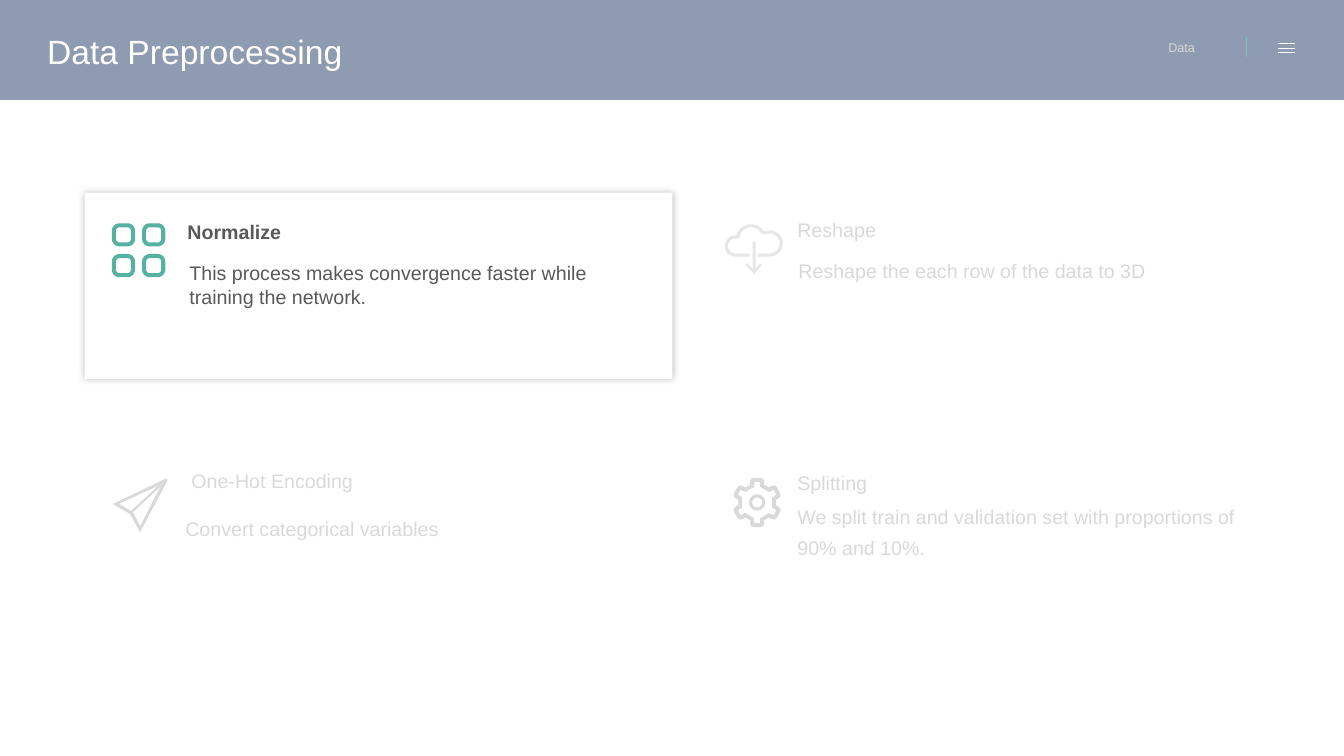
from dataclasses import dataclass
from math import cos, radians, sin

from lxml import etree
from pptx import Presentation
from pptx.dml.color import RGBColor
from pptx.enum.shapes import MSO_CONNECTOR, MSO_SHAPE
from pptx.enum.text import MSO_AUTO_SIZE, PP_ALIGN
from pptx.oxml.ns import qn
from pptx.util import Inches, Pt

RECT = MSO_SHAPE.RECTANGLE
STRAIGHT = MSO_CONNECTOR.STRAIGHT
GROW = MSO_AUTO_SIZE.SHAPE_TO_FIT_TEXT
LEFT = PP_ALIGN.LEFT
CENTER = PP_ALIGN.CENTER


@dataclass(frozen=True)
class Theme:
    font: str = "Arial"
    white: str = "FFFFFF"
    navy: str = "203864"
    teal: str = "55B2A0"
    mint: str = "78C2B4"
    dark: str = "595959"
    pale: str = "D9D9D9"
    cloud: str = "E7E6E6"
    shade: str = "BFBFBF"
    title: float = 24
    body: float = 14
    small: float = 9
    thin: float = 0.75


def color(code):
    return RGBColor.from_string(code)


def write(frame, text, font, size, ink, bold=False, align=LEFT, space=None):
    para = frame.paragraphs[0]
    para.alignment = align
    if space:
        para.line_spacing = space
    run = para.add_run()
    run.text = text
    run.font.name = font
    run.font.size = Pt(size)
    run.font.bold = bold
    run.font.color.rgb = color(ink)


def arc(x, y, r, start, end, step=10):
    turns = [start + (end - start) * i / step for i in range(step + 1)]
    return [(x + r * cos(radians(t)), y + r * sin(radians(t))) for t in turns]


def rounded(x, y, half, r):
    signs = [(1, 1), (-1, 1), (-1, -1), (1, -1)]
    flat = half - r
    return [point for i, (a, b) in enumerate(signs)
            for point in arc(x + a * flat, y + b * flat, r, 90 * i, 90 * i + 90, 6)]


def spin(x, y, tooth):
    points = []
    for turn in range(0, 360, 60):
        c, s = cos(radians(turn)), sin(radians(turn))
        points += [(x + a * c - b * s, y + a * s + b * c) for a, b in tooth]
    return points


def cloud_edge(shift):
    base = 2.53 + shift
    return [(7.43, base), *arc(7.295, 2.44, 0.09 + shift, 90, 280),
            *arc(7.45, 2.375, 0.135 + shift, 190, 329),
            *arc(7.635, 2.415, 0.115 + shift, 247, 450), (7.52, base)]


class Deck:
    def __init__(self, theme):
        self.theme = theme
        self.file = Presentation()
        self.file.slide_width = Inches(13.33)
        self.file.slide_height = Inches(7.5)
        self.slide = self.file.slides.add_slide(self.file.slide_layouts[6])

    def paint(self, shape, fill, edge=None):
        shape.shadow.inherit = False
        shape.fill.solid()
        shape.fill.fore_color.rgb = color(fill)
        if edge:
            shape.line.color.rgb = color(edge)
            shape.line.width = Pt(self.theme.thin)
        else:
            shape.line.fill.background()

    def panel(self, x, y, w, h, fill, alpha=None, glow=None):
        shape = self.slide.shapes.add_shape(RECT, *map(Inches, (x, y, w, h)))
        self.paint(shape, fill)
        props = shape._element.spPr
        if alpha:
            tint = props.find(qn("a:solidFill"))[0]
            etree.SubElement(tint, qn("a:alpha"), val=str(alpha * 1000))
        if glow:
            effects = props.find(qn("a:effectLst"))
            outer = etree.SubElement(effects, qn("a:outerShdw"), blurRad=str(Pt(5)),
                                     dist="0", dir="0", algn="ctr", rotWithShape="0")
            etree.SubElement(outer, qn("a:srgbClr"), val=glow)

    def icon(self, paths, fill, edge=None):
        loops = [[(Inches(x), Inches(y)) for x, y in path] for path in paths]
        build = self.slide.shapes.build_freeform(*loops[0][0])
        build.add_line_segments(loops[0][1:], close=True)
        for loop in loops[1:]:
            build.move_to(*loop[0])
            build.add_line_segments(loop[1:], close=True)
        self.paint(build.convert_to_shape(), fill, edge)

    def text(self, x, y, w, h, words, **style):
        box = self.slide.shapes.add_textbox(*map(Inches, (x, y, w, h)))
        frame = box.text_frame
        frame.word_wrap = True
        frame.auto_size = GROW
        look = {"font": self.theme.font, "size": self.theme.body, "ink": self.theme.pale}
        write(frame, words, **{**look, **style})

    def line(self, x1, y1, x2, y2, ink):
        rule = self.slide.shapes.add_connector(STRAIGHT, *map(Inches, (x1, y1, x2, y2)))
        rule.line.color.rgb = color(ink)
        rule.line.width = Pt(self.theme.thin)
        etree.SubElement(rule._element.spPr, qn("a:effectLst"))


def main():
    theme = Theme()
    deck = Deck(theme)

    for y in (4.3, 1.94):
        deck.panel(7, y, 5.83, 1.85, theme.white)
    deck.panel(0.84, 1.91, 5.83, 1.85, theme.white, glow=theme.shade)

    tiles = [rounded(x, y, half, r) for x in (1.225, 1.525) for y in (2.33, 2.635)
             for half, r in ((0.115, 0.075), (0.075, 0.035))]
    deck.icon(tiles, theme.teal)

    plane = [
        [(1.64, 4.75), (1.12, 5), (1.29, 5.1), (1.39, 5.28), (1.66, 4.77), (1.66, 4.75)],
        [(1.18, 5), (1.57, 4.82), (1.3, 5.07)],
        [(1.39, 5.22), (1.32, 5.08), (1.59, 4.83)],
    ]
    deck.icon(plane, theme.pale)

    hub = (7.51, 4.985)
    outer = [(-0.07, -0.175), (-0.07, -0.21), (-0.06, -0.235), (-0.03, -0.245),
             (0.03, -0.245), (0.06, -0.235), (0.07, -0.21), (0.07, -0.175)]
    inner = [(-0.03, -0.155), (-0.03, -0.195), (-0.02, -0.205),
             (0.02, -0.205), (0.03, -0.195), (0.03, -0.155)]
    gear = [spin(*hub, outer), spin(*hub, inner)]
    gear += [arc(*hub, r, 0, 360, 36) for r in (0.08, 0.05)]
    deck.icon(gear, theme.pale)

    cloud = cloud_edge(0.01) + cloud_edge(-0.01)[::-1]
    arrow = [(7.47, 2.4), (7.49, 2.4), (7.49, 2.68), (7.54, 2.62), (7.55, 2.63),
             (7.48, 2.71), (7.4, 2.63), (7.41, 2.62), (7.47, 2.68)]
    for path in (cloud, arrow):
        deck.icon([path], theme.cloud, theme.cloud)

    deck.text(1.76, 2.13, 3.82, 0.34, "Normalize", ink=theme.dark, bold=True)
    deck.text(1.78, 2.54, 4.6, 0.57,
              "This process makes convergence faster while training the network.",
              ink=theme.dark)
    for x, y, name in ((7.81, 2.11, "Reshape"), (1.8, 4.6, "One-Hot Encoding"),
                       (7.81, 4.62, "Splitting")):
        deck.text(x, y, 2.24, 0.34, name)
    notes = (
        (7.82, 2.45, 4.43, 0.38, "Reshape the each row of the data to 3D"),
        (1.74, 5.01, 4.43, 0.38, "Convert categorical variables"),
        (7.81, 4.89, 4.61, 0.68,
         "We split train and validation set with proportions of 90% and 10%."),
    )
    for note in notes:
        deck.text(*note, space=1.3)

    deck.panel(0, 0, 13.33, 0.99, theme.navy, alpha=50)
    deck.text(0.37, 0.26, 3.3, 0.5, "Data Preprocessing", size=theme.title, ink=theme.white)
    deck.text(11.24, 0.35, 0.96, 0.25, "Data", size=theme.small, align=CENTER)
    for y in (0.43, 0.48, 0.52):
        deck.line(12.68, y, 12.84, y, theme.white)
    deck.line(12.36, 0.37, 12.36, 0.57, theme.mint)

    deck.file.save("out.pptx")


if __name__ == "__main__":
    main()
